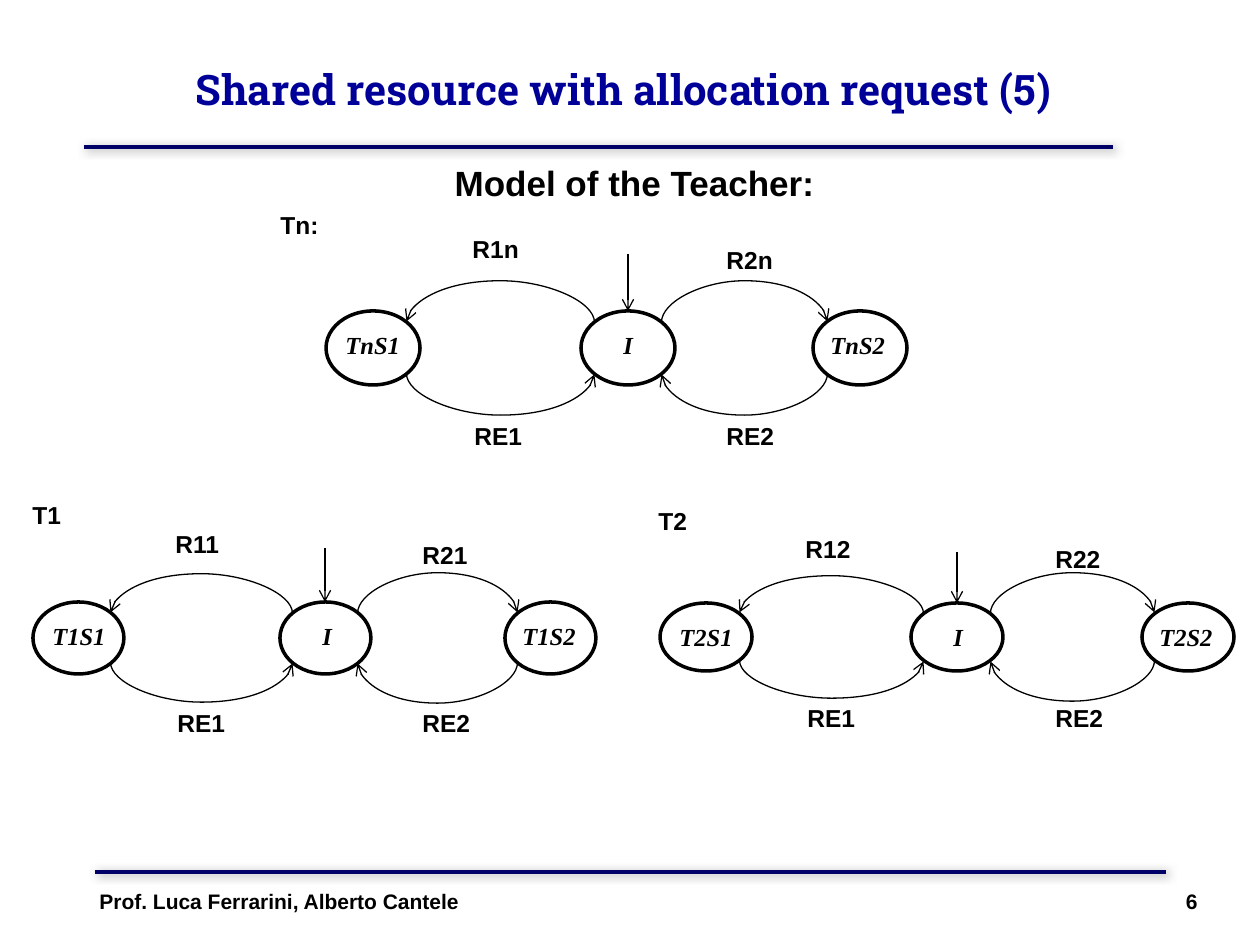
from math import sqrt

from lxml.etree import SubElement
from pptx import Presentation
from pptx.dml.color import RGBColor
from pptx.enum.shapes import MSO_CONNECTOR as Link, MSO_SHAPE as Shape
from pptx.enum.text import MSO_ANCHOR as Anchor, PP_ALIGN as Align
from pptx.oxml.ns import qn
from pptx.util import Inches, Pt

PX = 7257  # EMU in one pixel at 126 pixels to the inch
color = RGBColor.from_string


def write(shapes, text, x, y, width, height, size=14, font="Arial",
          ink="000000", italic=False, align=Align.LEFT, anchor=Anchor.TOP):
    box = shapes.add_textbox(x * PX, y * PX, width * PX, height * PX)
    box.text_frame.word_wrap = True
    box.text_frame.vertical_anchor = anchor
    para = box.text_frame.paragraphs[0]
    para.text = text
    para.alignment = align
    para.font.name = font
    para.font.size = Pt(size)
    para.font.bold = True
    para.font.italic = italic
    para.font.color.rgb = color(ink)


def draw_line(shapes, kind, x1, y1, x2, y2, ink="000000", weight=0.75, arrow=True):
    """Add a connector with an open arrowhead or none; return it and its effect list."""
    line = shapes.add_connector(kind, x1 * PX, y1 * PX, x2 * PX, y2 * PX)
    line.line.color.rgb = color(ink)
    line.line.width = Pt(weight)
    properties = line._element.spPr
    if arrow:
        SubElement(properties.find(qn("a:ln")), qn("a:tailEnd"), type="arrow")
    return line, SubElement(properties, qn("a:effectLst"))


deck = Presentation()
deck.slide_width = Inches(10)
deck.slide_height = Inches(7.5)
page = deck.slides.add_slide(deck.slide_layouts[6])

# Title and footer rules
for x1, x2, y in [(84, 1113, 147), (95, 1166, 872)]:
    rule, effects = draw_line(page.shapes, Link.STRAIGHT, x1, y, x2, y, "000066", 2.25, False)
    shadow = SubElement(effects, qn("a:outerShdw"), blurRad=str(Pt(5)),
                        dist=str(Pt(1.4)), dir="2700000")
    gray = SubElement(shadow, qn("a:srgbClr"), val="808080")
    SubElement(gray, qn("a:alpha"), val="75000")

write(page.shapes, "Shared resource with allocation request (5)", 88, 10, 1071, 158,
      24, "Roboto Slab", "000099", align=Align.CENTER, anchor=Anchor.MIDDLE)
write(page.shapes, "Model of the Teacher:", 74, 155, 1121, 55, 20, align=Align.CENTER)
write(page.shapes, "Prof. Luca Ferrarini, Alberto Cantele", 87, 882, 600, 50, 12)
write(page.shapes, "6", 1110, 882, 100, 50, 12, align=Align.RIGHT)

# Name and its place, suffix, state lefts, state top and size, entry top,
# arc heights, request label places, release label top
models = [
    ("Tn:", (268, 204), "n", (326, 581, 813), 311, (94, 74), 254,
     (42, 42), ((460, 228), (714, 239)), 415),
    ("T1", (20, 494), "1", (33, 280, 505), 602, (91, 72), 548,
     (40, 41), ((163, 523), (410, 534)), 702),
    ("T2", (646, 500), "2", (660, 911, 1142), 603, (92, 68), 552,
     (38, 41), ((793, 528), (1043, 538)), 697),
]
for (name, name_place, suffix, lefts, top, (width, height), entry_top,
     arc_heights, request_places, release_top) in models:
    shapes = page.shapes.add_group_shape().shapes
    reach_x = round(width / 2 / sqrt(2))
    reach_y = round(height / 2 / sqrt(2))
    centers = [left + width // 2 for left in lefts]
    middle = top + height // 2

    # Each side has a request arc above and a release arc below
    for side, arc_height in enumerate(arc_heights):
        start = centers[side] + reach_x
        end = centers[side + 1] - reach_x
        half = (end - start) // 2
        center = (start + end) // 2
        quarter_turn = "16200000" if side == 0 else "5400000"
        flips = [("flipV",), ("flipH",)] if side == 0 else [("flipH", "flipV"), ()]
        for y, flip in zip((middle - reach_y, middle + reach_y), flips):
            arc, _ = draw_line(shapes, Link.CURVE, center, y - half, center + 1, y + half)
            properties = arc._element.spPr
            frame = properties.find(qn("a:xfrm"))
            frame.set("rot", quarter_turn)
            for axis in flip:
                frame.set(axis, "1")
            guides = properties.find(qn("a:prstGeom")).find(qn("a:avLst"))
            SubElement(guides, qn("a:gd"), name="adj1", fmla=f"val {arc_height * 100000}")

    draw_line(shapes, Link.STRAIGHT, centers[1], entry_top, centers[1], top)

    states = [(f"T{suffix}S1", 7, 97), ("I", 30, 43), (f"T{suffix}S2", 5, 97)]
    for left, (state, indent, label_width) in zip(lefts, states):
        oval = shapes.add_shape(Shape.OVAL, left * PX, top * PX, width * PX, height * PX)
        oval.shadow.inherit = False
        oval.fill.solid()
        oval.fill.fore_color.rgb = color("FFFFFF")
        oval.line.color.rgb = color("000000")
        oval.line.width = Pt(2)
        write(shapes, state, left + indent, top + 13, label_width, 43,
              font="Times New Roman", italic=True)

    write(shapes, name, *name_place, 160, 43)
    for number, (x, y) in enumerate(request_places, 1):
        write(shapes, f"R{number}{suffix}", x, y, 80, 43)
        write(shapes, f"RE{number}", x + 4 - 2 * number, release_top, 80, 43)

deck.save("out.pptx")
